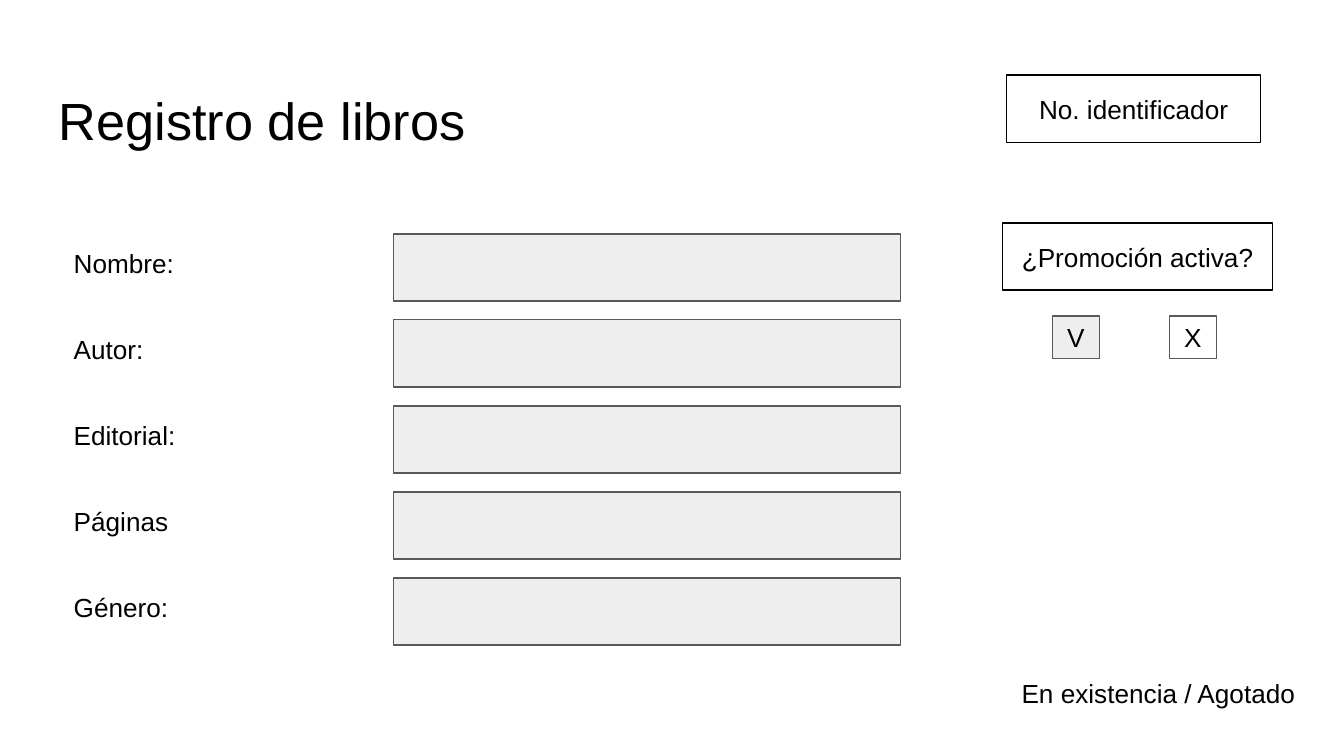
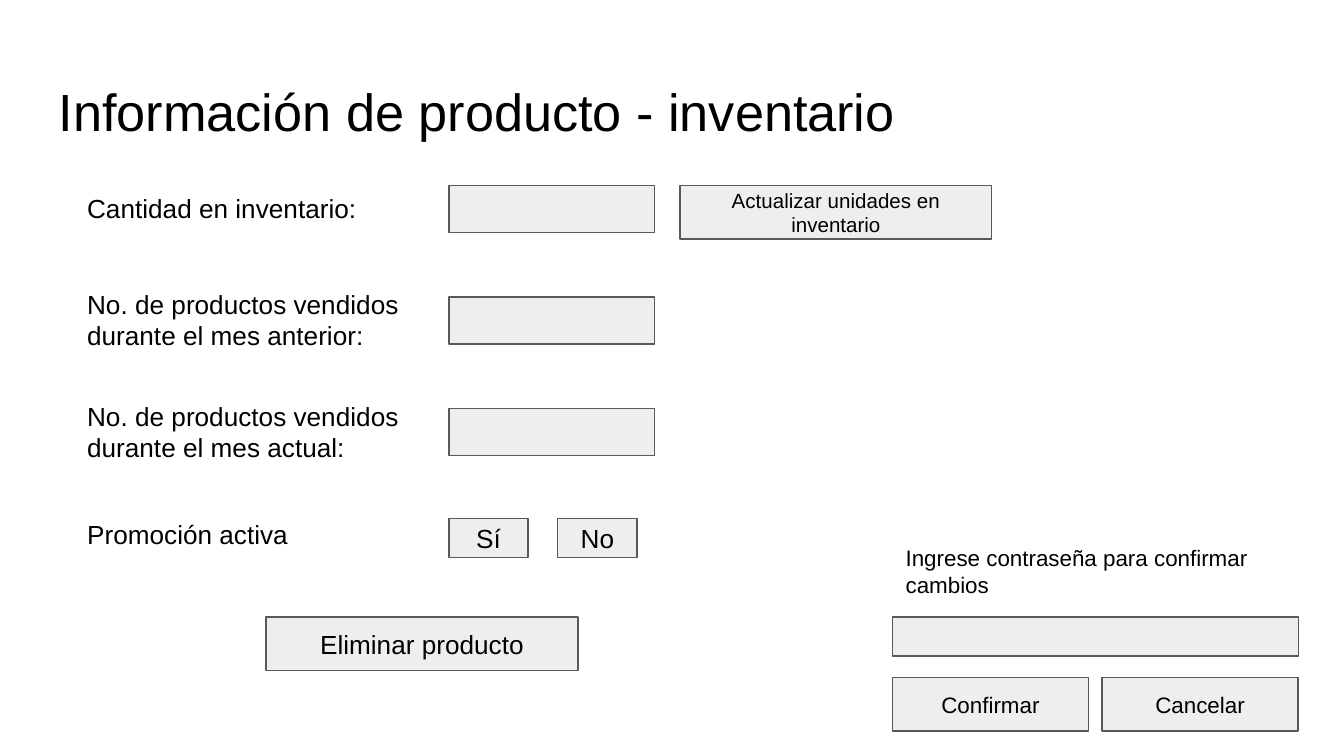
from pptx import Presentation
from pptx.dml.color import RGBColor
from pptx.enum.shapes import MSO_SHAPE as Shape
from pptx.enum.text import MSO_ANCHOR as Anchor, PP_ALIGN as Align
from pptx.util import Inches, Pt

COLORS = {"ink": "000000", "field": "EEEEEE", "edge": "595959", "paper": "FFFFFF"}
FONT = "Arial"
BODY, SMALL, TINY = 14, 12, 11


class FormDeck:
    """Style of the form screens and the slide being filled."""

    def __init__(self):
        self.prs = Presentation()
        self.prs.slide_width, self.prs.slide_height = Inches(10), Inches(5.625)
        self.slide = None

    def color(self, name):
        return RGBColor.from_string(COLORS[name])

    def screen(self, title, top):
        self.slide = self.prs.slides.add_slide(self.prs.slide_layouts[6])
        self.label(title, 0.34, top, 9.32, 0.63, size=28)

    def set_text(self, frame, text, size, align, anchor):
        frame.word_wrap = True
        frame.vertical_anchor = anchor
        frame.margin_left = frame.margin_right = Inches(0.1)
        frame.margin_top = frame.margin_bottom = Inches(0.1)
        frame.text = text
        for paragraph in frame.paragraphs:
            paragraph.alignment = align
            for run in paragraph.runs:
                run.font.name = FONT
                run.font.size = Pt(size)
                run.font.color.rgb = self.color("ink")

    def label(self, text, left, top, width, height, size=BODY,
              align=Align.LEFT, anchor=Anchor.TOP):
        box = self.slide.shapes.add_textbox(
            Inches(left), Inches(top), Inches(width), Inches(height))
        self.set_text(box.text_frame, text, size, align, anchor)

    def box(self, left, top, width, height, text="", size=BODY,
            fill="field", edge="edge"):
        rect = self.slide.shapes.add_shape(
            Shape.RECTANGLE, Inches(left), Inches(top), Inches(width), Inches(height))
        rect.shadow.inherit = False
        if fill:
            rect.fill.solid()
            rect.fill.fore_color.rgb = self.color(fill)
        else:
            rect.fill.background()
        rect.line.color.rgb = self.color(edge)
        rect.line.width = Pt(0.75)
        if text:
            self.set_text(rect.text_frame, text, size, Align.CENTER, Anchor.MIDDLE)

    def outline(self, text, left, top, width, height):
        self.box(left, top, width, height, text, fill=None, edge="ink")


def book_record(deck):
    deck.screen("Registro de libros", 0.56)

    # Book fields
    for row, name in enumerate(["Nombre:", "Autor:", "Editorial:", "Páginas", "Género:"]):
        top = 1.74 + 0.64 * row
        deck.box(2.93, top, 3.77, 0.5)
        deck.label(name, 0.45, top, 2.33, 0.5)

    # Identifier and promotion
    deck.outline("No. identificador", 7.49, 0.56, 1.89, 0.5)
    deck.outline("¿Promoción activa?", 7.46, 1.66, 2.01, 0.5)
    for left, mark, fill in [(7.83, "V", "field"), (8.7, "X", "paper")]:
        deck.box(left, 2.35, 0.35, 0.32, mark, fill=fill)

    # Stock status
    deck.label("En existencia / Agotado", 7.46, 4.94, 2.32, 0.44,
               align=Align.CENTER, anchor=Anchor.MIDDLE)


def product_inventory(deck):
    deck.screen("Información de producto - inventario", 0.49)

    # Stock and sales figures
    figures = ["Cantidad en inventario:",
               "No. de productos vendidos durante el mes anterior:",
               "No. de productos vendidos durante el mes actual:"]
    for row, figure in enumerate(figures):
        top = 1.27 + 0.83 * row
        deck.label(figure, 0.55, top, 2.93, 0.56, anchor=Anchor.MIDDLE)
        deck.box(3.34, top + 0.11, 1.53, 0.35)
    deck.box(5.06, 1.38, 2.32, 0.4, "Actualizar unidades en inventario", TINY)

    # Promotion choice
    deck.label("Promoción activa", 0.55, 3.76, 2.49, 0.56)
    for column, choice in enumerate(["Sí", "No"]):
        deck.box(3.34 + 0.81 * column, 3.86, 0.59, 0.29, choice)

    deck.box(1.98, 4.59, 2.32, 0.4, "Eliminar producto")

    # Password confirmation
    deck.label("Ingrese contraseña para confirmar cambios", 6.64, 4, 2.93, 0.5,
               size=SMALL, anchor=Anchor.MIDDLE)
    deck.box(6.64, 4.59, 3.02, 0.29)
    for column, action in enumerate(["Confirmar", "Cancelar"]):
        deck.box(6.64 + 1.56 * column, 5.04, 1.46, 0.4, action, SMALL)


def main():
    deck = FormDeck()
    book_record(deck)
    product_inventory(deck)
    deck.prs.save("out.pptx")


if __name__ == "__main__":
    main()
